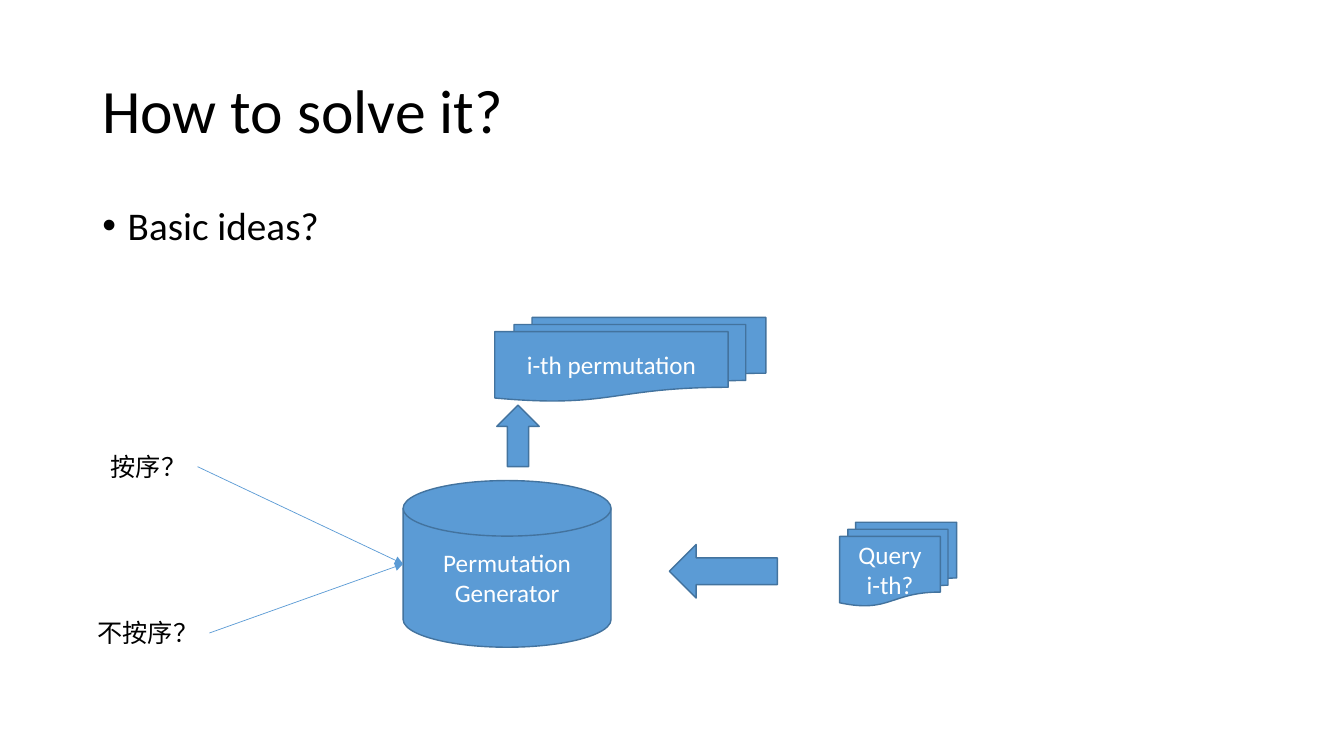
from dataclasses import dataclass

from lxml.etree import SubElement
from pptx import Presentation
from pptx.dml.color import RGBColor
from pptx.enum.shapes import MSO_CONNECTOR as Link, MSO_SHAPE as Form
from pptx.enum.text import MSO_ANCHOR as Anchor, PP_ALIGN as Align
from pptx.oxml.ns import qn
from pptx.shapes.shapetree import SlideShapes as Shapes
from pptx.text.text import TextFrame as Frame
from pptx.util import Cm, Pt

BLACK = RGBColor(0x00, 0x00, 0x00)
WHITE = RGBColor(0xFF, 0xFF, 0xFF)
BLUE = RGBColor(0x5B, 0x9B, 0xD5)
EDGE = RGBColor(0x43, 0x73, 0x9E)
FONT = "Calibri"


@dataclass(frozen=True)
class Box:
    left: float
    top: float
    width: float
    height: float

    @property
    def middle(self) -> float:
        return self.top + self.height / 2

    @property
    def right(self) -> float:
        return self.left + self.width

    def place(self) -> tuple[Cm, Cm, Cm, Cm]:
        return Cm(self.left), Cm(self.top), Cm(self.width), Cm(self.height)


@dataclass(frozen=True)
class Node:
    form: Form
    box: Box
    text: str = ""


@dataclass(frozen=True)
class Label:
    box: Box
    text: str
    size: int = 18
    wrap: bool = False
    spacing: float = 1.0
    anchor: Anchor = Anchor.TOP
    bullet: bool = False


DISK = Node(Form.FLOWCHART_MAGNETIC_DISK, Box(10.16, 12.11, 5.24, 4.2), "Permutation\nGenerator")
NODES = [
    DISK,
    Node(Form.FLOWCHART_MULTIDOCUMENT, Box(21.16, 13.16, 2.95, 2.11), "Query\ni-th?"),
    Node(Form.LEFT_ARROW, Box(16.87, 13.72, 2.72, 1.35)),
    Node(Form.UP_ARROW, Box(12.52, 10.21, 1.07, 1.55)),
    Node(Form.FLOWCHART_MULTIDOCUMENT, Box(12.47, 8, 6.83, 2.11), "i-th permutation"),
]
HEADS = [
    Label(Box(2.33, 1.01, 29.21, 3.68), "How to solve it?", 44, True, 0.9, Anchor.MIDDLE),
    Label(Box(2.33, 5.08, 29.21, 12.09), "Basic ideas?", 28, True, 0.9, bullet=True),
]
MODES = [
    Label(Box(2.54, 11.25, 2.44, 1.02), "按序？"),
    Label(Box(2.21, 15.44, 3.07, 1.02), "不按序？"),
]


def style(frame: Frame, size: int, color: RGBColor, align: Align, spacing: float = 1.0) -> None:
    for line in frame.paragraphs:
        line.alignment = align
        line.line_spacing = spacing
        for run in line.runs:
            run.font.name = FONT
            run.font.size = Pt(size)
            run.font.color.rgb = color


def add_label(shapes: Shapes, label: Label) -> None:
    frame = shapes.add_textbox(*label.box.place()).text_frame
    frame.word_wrap = label.wrap
    frame.vertical_anchor = label.anchor
    frame.text = label.text
    if label.bullet:
        props = frame.paragraphs[0]._p.get_or_add_pPr()
        props.set("marL", str(Cm(0.64)))
        props.set("indent", str(-Cm(0.64)))
        SubElement(props, qn("a:buFont"), typeface="Arial")
        SubElement(props, qn("a:buChar"), char="•")
    style(frame, label.size, BLACK, Align.LEFT, label.spacing)


def add_node(shapes: Shapes, node: Node) -> None:
    shape = shapes.add_shape(node.form, *node.box.place())
    shape.shadow.inherit = False
    shape.fill.solid()
    shape.fill.fore_color.rgb = BLUE
    shape.line.color.rgb = EDGE
    shape.line.width = Pt(1)
    if node.text:
        frame = shape.text_frame
        frame.word_wrap = True
        frame.vertical_anchor = Anchor.MIDDLE
        frame.text = node.text
        style(frame, 18, WHITE, Align.CENTER)


def add_arrow(shapes: Shapes, start: Box, end: Box) -> None:
    arrow = shapes.add_connector(
        Link.STRAIGHT, Cm(start.right), Cm(start.middle), Cm(end.left), Cm(end.middle)
    )
    arrow.line.color.rgb = BLUE
    arrow.line.width = Pt(0.5)
    props = arrow._element.spPr
    SubElement(props.find(qn("a:ln")), qn("a:tailEnd"), type="triangle")
    SubElement(props, qn("a:effectLst"))


def main() -> None:
    deck = Presentation()
    deck.slide_width, deck.slide_height = Cm(33.87), Cm(19.05)
    shapes = deck.slides.add_slide(deck.slide_layouts[6]).shapes
    for head in HEADS:
        add_label(shapes, head)
    for node in NODES:
        add_node(shapes, node)
    for mode in MODES:
        add_label(shapes, mode)
    for mode in MODES:
        add_arrow(shapes, mode.box, DISK.box)
    deck.save("out.pptx")


if __name__ == "__main__":
    main()
